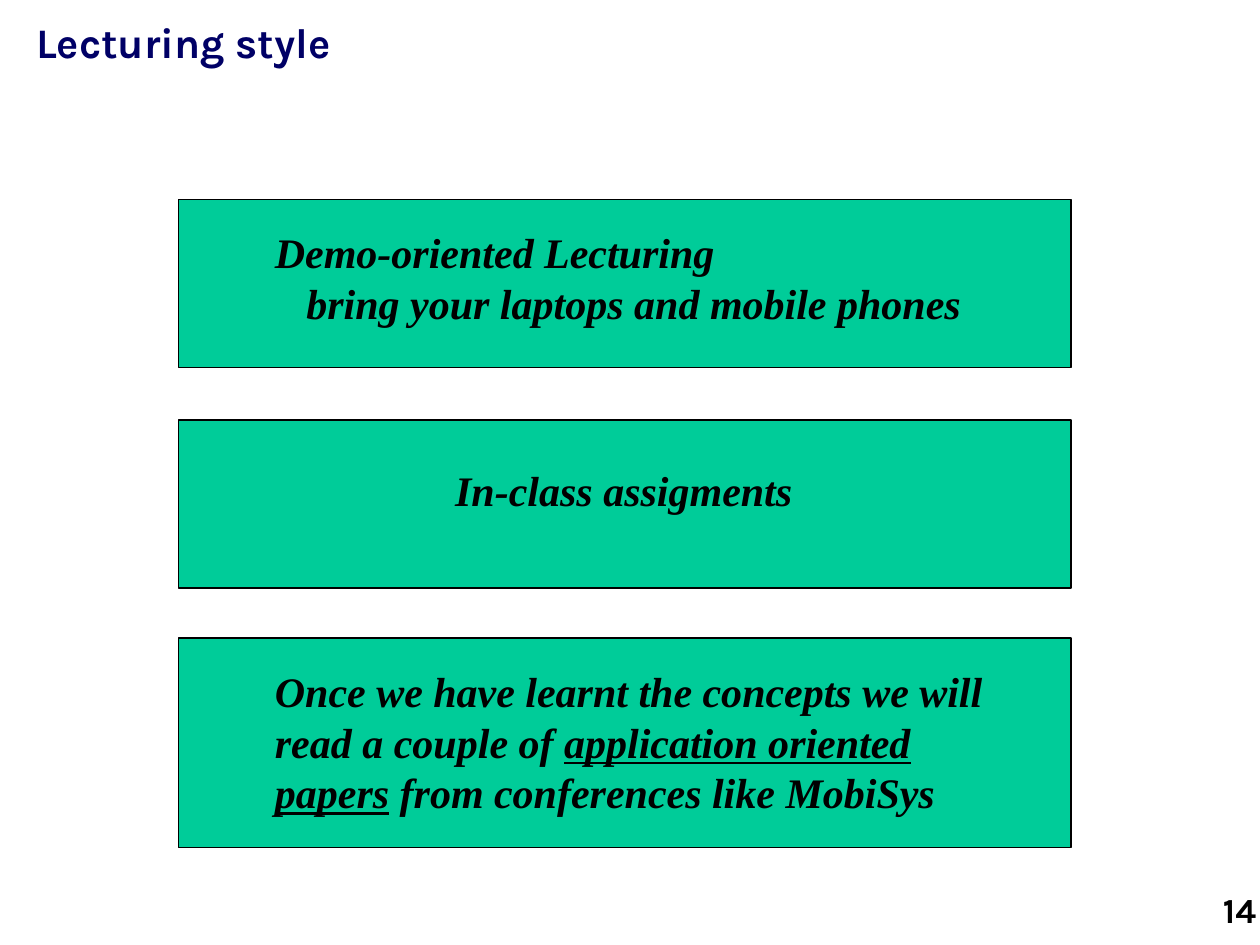
from pptx import Presentation
from pptx.dml.color import RGBColor
from pptx.enum.shapes import MSO_SHAPE
from pptx.enum.text import MSO_ANCHOR, MSO_AUTO_SIZE, PP_ALIGN
from pptx.util import Pt

TITLE = "Lecturing style"
PAGE_NUMBER = "14"
BOX_LEFT, BOX_WIDTH = 102, 510
LINE_INDENT = 18

# Each card: box top and height, text frame (left, top, width, height), wrap,
# and paragraphs of (indent level, [(text, underlined), ...])
CARDS = [
    (114, 96, (150, 126, 418, 66), False, [
        (0, [("Demo-oriented Lecturing", False)]),
        (1, [("bring your laptops and mobile phones", False)]),
    ]),
    (240, 96, (253, 262, 276, 36), True, [
        (0, [("In-class assigments", False)]),
    ]),
    (364.5, 120, (150, 377, 443, 94.5), True, [
        (0, [("Once we have learnt the concepts we will read a couple of ", False),
             ("application oriented papers", True),
             (" from conferences like MobiSys", False)]),
    ]),
]


def color(hex_code):
    return RGBColor.from_string(hex_code)


def style(font, size, name, hex_code):
    font.size, font.name, font.bold = Pt(size), name, True
    font.color.rgb = color(hex_code)


def add_box(slide, top, height):
    box = slide.shapes.add_shape(MSO_SHAPE.RECTANGLE, Pt(BOX_LEFT), Pt(top),
                                 Pt(BOX_WIDTH), Pt(height))
    box.shadow.inherit = False
    box.fill.solid()
    box.fill.fore_color.rgb = color("00CC99")
    box.line.color.rgb = color("000000")
    box.line.width = Pt(0.75)


def add_card_text(slide, frame, wrap, paragraphs):
    text = slide.shapes.add_textbox(*map(Pt, frame)).text_frame
    text.word_wrap = wrap
    text.auto_size = MSO_AUTO_SIZE.SHAPE_TO_FIT_TEXT
    for index, (level, pieces) in enumerate(paragraphs):
        paragraph = text.add_paragraph() if index else text.paragraphs[0]
        if level:
            paragraph._p.get_or_add_pPr().set("marL", str(Pt(level * LINE_INDENT)))
        for words, underlined in pieces:
            run = paragraph.add_run()
            run.text = words
            style(run.font, 24, "Times New Roman", "000000")
            run.font.italic = True
            if underlined:
                run.font.underline = True


def add_title(slide):
    title = slide.shapes.title
    title.left, title.top, title.width, title.height = map(Pt, (13.5, 6, 699, 72))
    text = title.text_frame
    text.text = TITLE
    text.vertical_anchor = MSO_ANCHOR.TOP
    text.auto_size = MSO_AUTO_SIZE.NONE
    text.paragraphs[0].alignment = PP_ALIGN.LEFT
    style(text.paragraphs[0].runs[0].font, 24, "Karla", "000066")


def add_page_number(slide):
    text = slide.shapes.add_textbox(Pt(497), Pt(504), Pt(228), Pt(36)).text_frame
    text.word_wrap = True
    text.text = PAGE_NUMBER
    text.paragraphs[0].alignment = PP_ALIGN.RIGHT
    style(text.paragraphs[0].runs[0].font, 20, "Karla", "000000")


def main():
    deck = Presentation()
    deck.slide_width, deck.slide_height = Pt(720), Pt(540)
    slide = deck.slides.add_slide(deck.slide_layouts[5])
    add_title(slide)
    for top, height, frame, wrap, paragraphs in CARDS:
        add_box(slide, top, height)
        add_card_text(slide, frame, wrap, paragraphs)
    add_page_number(slide)
    deck.save("out.pptx")


if __name__ == "__main__":
    main()
